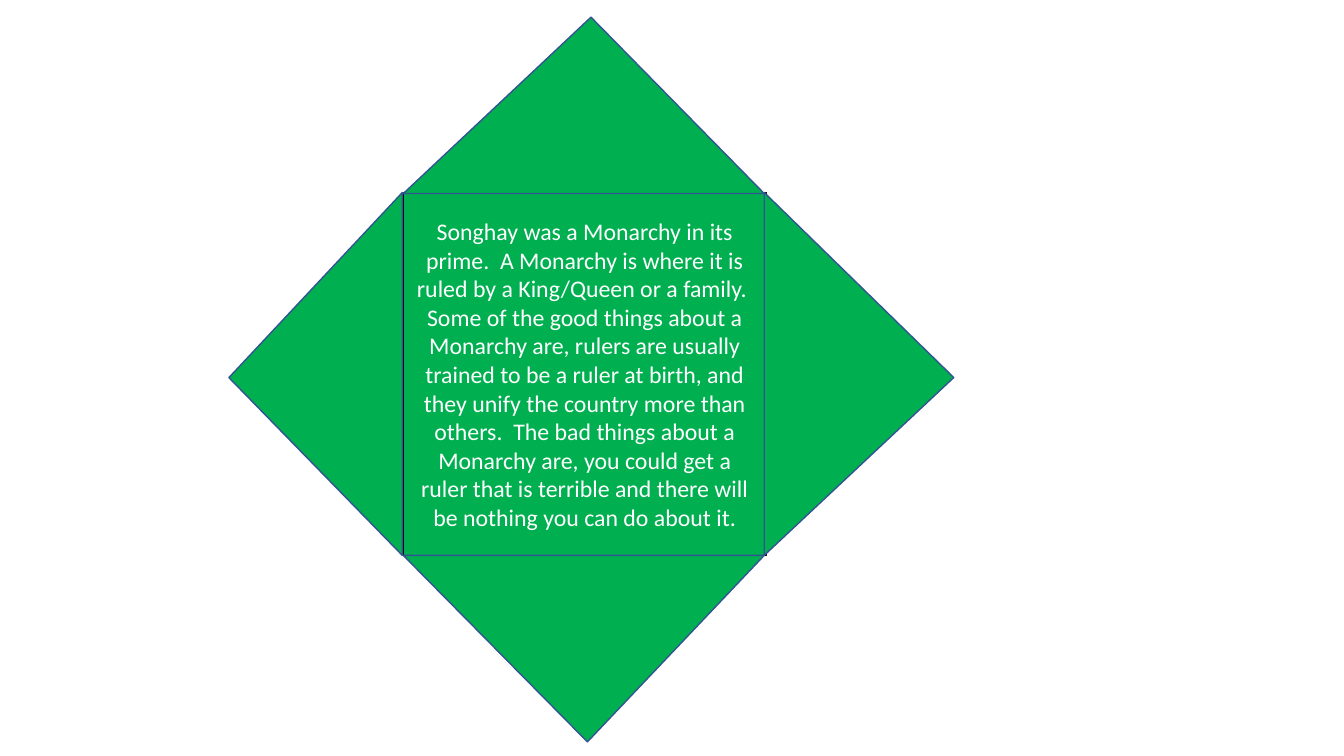
from pptx import Presentation
from pptx.dml.color import RGBColor
from pptx.enum.shapes import MSO_SHAPE as SHAPE
from pptx.enum.text import MSO_ANCHOR as ANCHOR, PP_ALIGN as ALIGN
from pptx.util import Inches, Pt

COLORS = {"green": "00B050", "navy": "325491", "black": "000000", "white": "FFFFFF"}

SONGHAY = (
    "Songhay was a Monarchy in its prime.  A Monarchy is where it is ruled by "
    "a King/Queen or a family.  Some of the good things about a Monarchy are, "
    "rulers are usually trained to be a ruler at birth, and they unify the "
    "country more than others.  The bad things about a Monarchy are, you could "
    "get a ruler that is terrible and there will be nothing you can do about it."
)


class Deck:
    font = "Calibri"
    cell = Inches(0.1)

    def __init__(self, prs):
        self.slide = prs.slides.add_slide(prs.slide_layouts[6])

    def color(self, name):
        return RGBColor.from_string(COLORS[name])

    def shape(self, kind, col, row, cols, rows, line, weight):
        box = [round(n * self.cell) for n in (col, row, cols, rows)]
        sp = self.slide.shapes.add_shape(kind, *box)
        sp.shadow.inherit = False
        sp.fill.solid()
        sp.fill.fore_color.rgb = self.color("green")
        sp.line.color.rgb = self.color(line)
        sp.line.width = Pt(weight)
        return sp

    def square(self, col, row, side, text, size):
        sp = self.shape(SHAPE.RECTANGLE, col, row, side, side, "black", 0.25)
        tf = sp.text_frame
        tf.word_wrap = True
        tf.vertical_anchor = ANCHOR.MIDDLE
        tf.text = text
        p = tf.paragraphs[0]
        p.alignment = ALIGN.CENTER
        font = p.runs[0].font
        font.name = self.font
        font.size = Pt(size)
        font.color.rgb = self.color("white")

    def flap(self, col, row, base, height, turn, peak):
        sp = self.shape(SHAPE.ISOSCELES_TRIANGLE, col, row, base, height, "navy", 1)
        sp.adjustments[0] = peak
        sp.rotation = turn


def main():
    prs = Presentation()
    prs.slide_width, prs.slide_height = Inches(13.33), Inches(7.5)
    deck = Deck(prs)
    deck.square(40, 19.1, 36, SONGHAY, 17)
    for flap in (
        (67.2, 27.7, 36, 18.8, 90, 0.51),
        (40, 1.7, 35.8, 17.5, 0, 0.52),
        (13.3, 28.5, 36, 17.2, 270, 0.49),
        (40, 55.1, 35.8, 18.5, 180, 0.49),
    ):
        deck.flap(*flap)
    prs.save("out.pptx")


if __name__ == "__main__":
    main()
